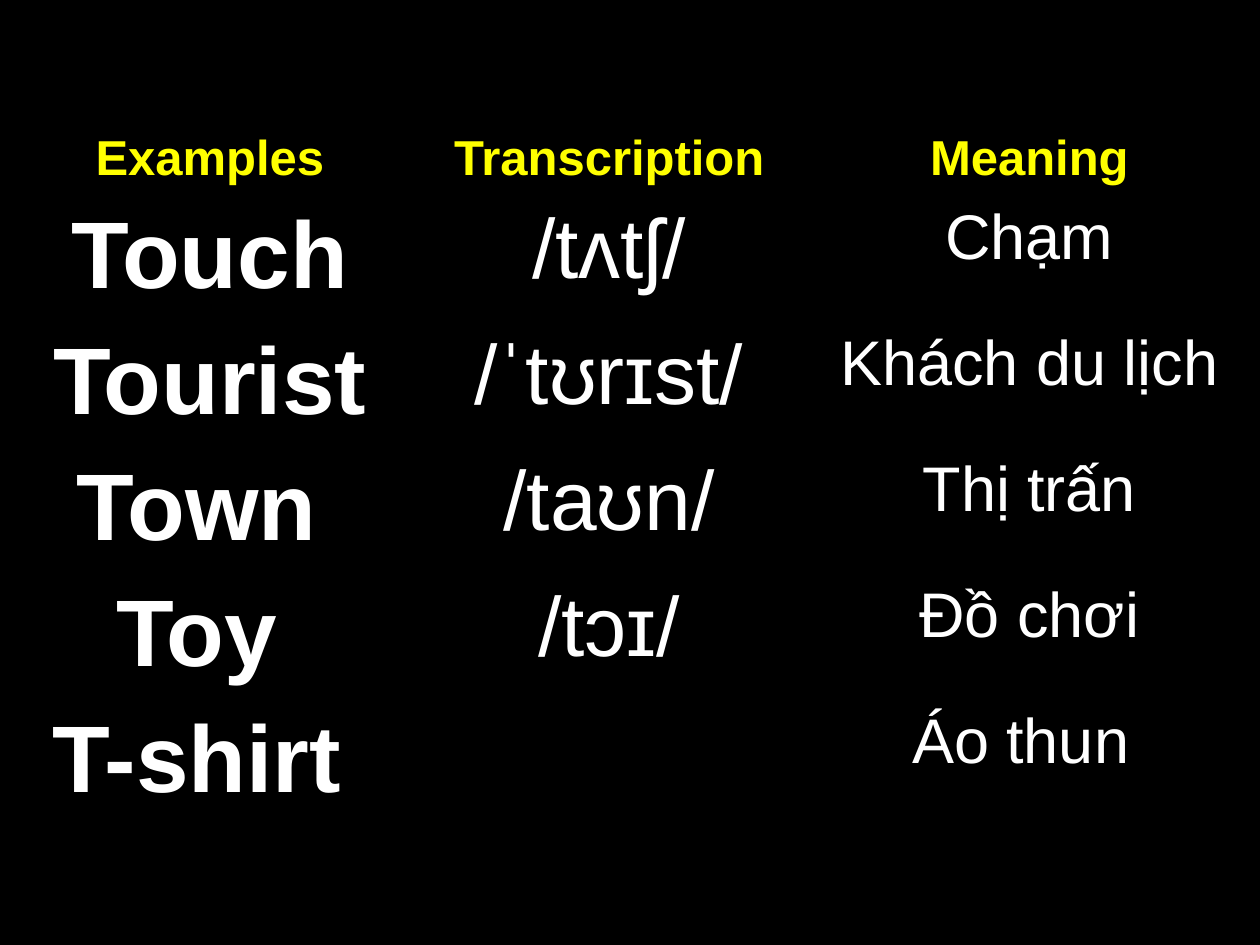
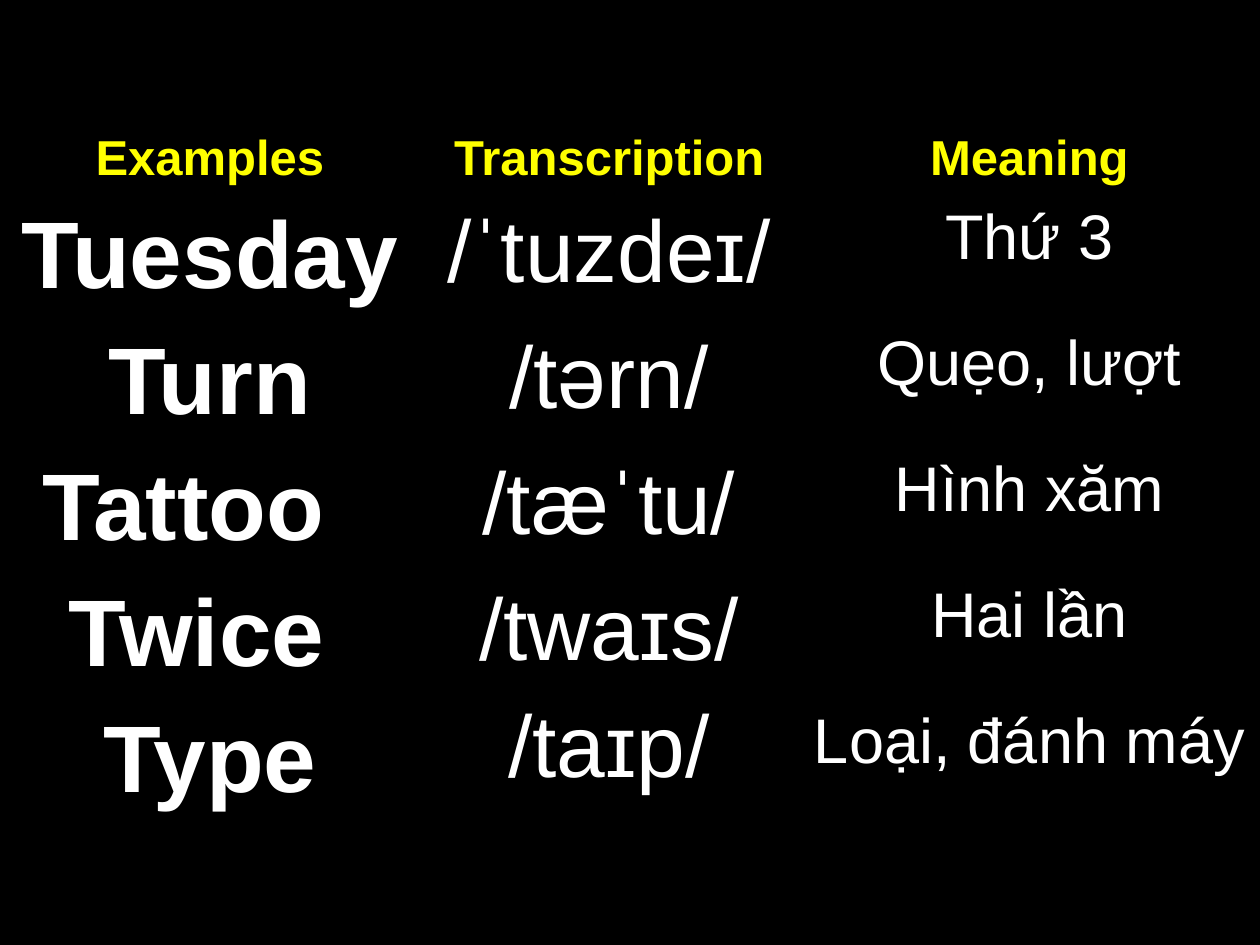
import pptx
import pptx.dml.color
import pptx.enum.text
import pptx.oxml.ns
import pptx.util
from lxml import etree

Inches, Pt = pptx.util.Inches, pptx.util.Pt
RGB = pptx.dml.color.RGBColor

BLACK = RGB(0x00, 0x00, 0x00)
WHITE = RGB(0xFF, 0xFF, 0xFF)
YELLOW = RGB(0xFF, 0xFF, 0x00)
FONT = "Arial"

BOX = (0, 0.99, 10, 5.57)
COLS = (3.33, 3.01, 3.66)
HEAD = 0.57
THIN, THICK = 0.45, 1.47
TITLES = ("Examples", "Transcription", "Meaning")

TOUCH = [
    ("Touch", "/tʌtʃ/", "Chạm"),
    ("Tourist", "/ˈtʊrɪst/", "Khách du lịch"),
    ("Town ", "/taʊn/", "Thị trấn"),
    ("Toy ", "/tɔɪ/", "Đồ chơi"),
    ("T-shirt ", "", "Áo thun "),
]
TUESDAY = [
    ("Tuesday ", "/ˈtuzdeɪ/", "Thứ 3"),
    ("Turn", "/tərn/", "Quẹo, lượt"),
    ("Tattoo ", "/tæˈtu/", "Hình xăm"),
    ("Twice ", "/twaɪs/", "Hai lần"),
    ("Type", "/taɪp/", "Loại, đánh máy"),
]


def edge(cell, side, width):
    """Draw one black border of a cell; side is L, R, T or B."""
    tag = pptx.oxml.ns.qn
    line = etree.SubElement(cell._tc.get_or_add_tcPr(), tag("a:ln" + side),
                            w=str(int(Pt(width))))
    fill = etree.SubElement(line, tag("a:solidFill"))
    etree.SubElement(fill, tag("a:srgbClr"), val=str(BLACK))


def style(cell, row):
    for side in "LRTB":
        under = (row, side) in ((0, "B"), (1, "T"))
        edge(cell, side, THICK if under else THIN)
    cell.fill.solid()
    cell.fill.fore_color.rgb = BLACK


def write(cell, text, size, color, bold):
    para = cell.text_frame.paragraphs[0]
    para.alignment = pptx.enum.text.PP_ALIGN.CENTER
    if text:
        run = para.add_run()
        run.text = text
        run.font.name = FONT
        run.font.size = Pt(size)
        run.font.bold = bold
        run.font.color.rgb = color


def grid(slide, box, words, sound):
    """Add the word table; sound is the text size of the transcriptions."""
    frame = slide.shapes.add_table(len(words) + 1, len(TITLES),
                                   *map(Inches, box))
    table = frame.table
    for col, width in zip(table.columns, COLS):
        col.width = Inches(width)
    for num, row in enumerate(table.rows):
        row.height = Inches((box[3] - HEAD) / len(words) if num else HEAD)

    for num, texts in enumerate([TITLES, *words]):
        for col, text in enumerate(texts):
            cell = table.cell(num, col)
            style(cell, num)
            if num == 0:
                write(cell, text, 28, YELLOW, True)
            else:
                write(cell, text, (54, sound, 36)[col], WHITE, col == 0)
    return table


def page(deck, words, sound):
    slide = deck.slides.add_slide(deck.slide_layouts[6])
    slide.background.fill.solid()
    slide.background.fill.fore_color.rgb = BLACK
    return grid(slide, BOX, words, sound)


def main():
    deck = pptx.Presentation()
    deck.slide_width, deck.slide_height = Inches(10), Inches(7.5)
    page(deck, TOUCH, 48)
    table = page(deck, TUESDAY, 50)
    table.cell(3, 0).margin_right = Inches(0.31)
    last = table.cell(5, 1).text_frame.paragraphs[0]
    last.line_spacing = 0.9
    last.space_before = Pt(10)
    deck.save("out.pptx")


if __name__ == "__main__":
    main()
